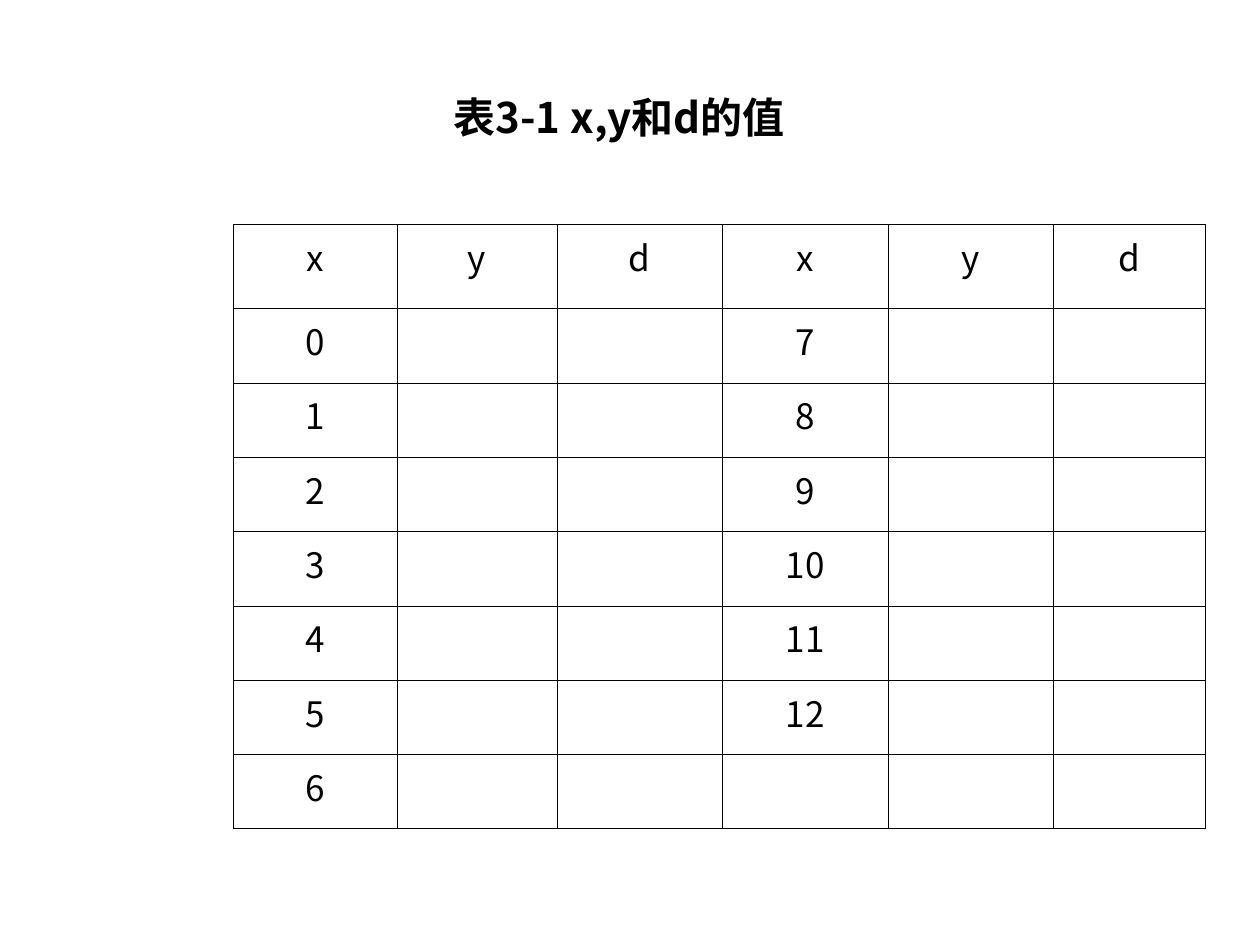
from dataclasses import dataclass

from lxml import etree
from pptx import Presentation
from pptx.dml.color import RGBColor
from pptx.enum.text import MSO_ANCHOR, MSO_AUTO_SIZE, PP_ALIGN
from pptx.oxml.ns import qn
from pptx.util import Pt

LEFT, CENTER = PP_ALIGN.LEFT, PP_ALIGN.CENTER
MIDDLE = MSO_ANCHOR.MIDDLE
FIT_SHAPE = MSO_AUTO_SIZE.SHAPE_TO_FIT_TEXT

BLACK = RGBColor(0x00, 0x00, 0x00)
WHITE = RGBColor(0xFF, 0xFF, 0xFF)
FONT = "Noto Sans CJK SC"
BORDER_WIDTH = Pt(0.45)
TITLE_ONLY = 5

HEADINGS = ["x", "y", "d"] * 2
COLUMN_WIDTHS = [93.6, 91.44, 94.32, 95.04, 94.32, 87.12]
HEADER_HEIGHT = 48.24
ROW_HEIGHT = 42.48
ROWS_PER_HALF = 7
LAST_X = 12


@dataclass
class TextStyle:
    size: float
    bold: bool
    align: PP_ALIGN


TITLE_STYLE = TextStyle(24, True, LEFT)
CELL_STYLE = TextStyle(20, False, CENTER)


def add_text(paragraph, text: str, style: TextStyle) -> None:
    paragraph.alignment = style.align
    run = paragraph.add_run()
    run.text = text
    run.font.size = Pt(style.size)
    run.font.bold = style.bold
    run.font.color.rgb = BLACK
    run.font.name = FONT
    # East Asian characters take their own typeface element
    east_asian = etree.SubElement(run.font._element, qn("a:ea"))
    east_asian.set("typeface", FONT)


def format_cell(cell) -> None:
    properties = cell._tc.get_or_add_tcPr()
    for side in ("lnL", "lnR", "lnT", "lnB"):
        border = etree.SubElement(properties, qn(f"a:{side}"), w=str(BORDER_WIDTH))
        line_fill = etree.SubElement(border, qn("a:solidFill"))
        etree.SubElement(line_fill, qn("a:srgbClr"), val=str(BLACK))
    cell.fill.solid()
    cell.fill.fore_color.rgb = WHITE


def value_rows() -> list[list[str]]:
    """Rows with x filled in on both halves, y and d left open."""
    rows = []
    for x in range(ROWS_PER_HALF):
        right_x = x + ROWS_PER_HALF
        rows.append([str(x), "", "", str(right_x) if right_x <= LAST_X else "", "", ""])
    return rows


def add_title(slide, text: str) -> None:
    title = slide.shapes.title
    title.left, title.top = Pt(252), Pt(48.96)
    title.width, title.height = Pt(283.68), Pt(36)
    frame = title.text_frame
    frame.word_wrap = True
    frame.auto_size = FIT_SHAPE
    frame.vertical_anchor = MIDDLE
    add_text(frame.paragraphs[0], text, TITLE_STYLE)


def add_value_table(slide) -> None:
    rows = [HEADINGS] + value_rows()
    heights = [HEADER_HEIGHT] + [ROW_HEIGHT] * ROWS_PER_HALF
    table = slide.shapes.add_table(
        len(rows), len(HEADINGS), Pt(133.2), Pt(128.16),
        Pt(sum(COLUMN_WIDTHS)), Pt(sum(heights)),
    ).table
    table.first_row = table.horz_banding = False
    for column, width in zip(table.columns, COLUMN_WIDTHS):
        column.width = Pt(width)
    for row, height, values in zip(table.rows, heights, rows):
        row.height = Pt(height)
        for cell, value in zip(row.cells, values):
            format_cell(cell)
            if value:
                add_text(cell.text_frame.paragraphs[0], value, CELL_STYLE)


def main() -> None:
    presentation = Presentation()
    presentation.slide_width, presentation.slide_height = Pt(720), Pt(540)
    slide = presentation.slides.add_slide(presentation.slide_layouts[TITLE_ONLY])

    # Heading above the table
    add_title(slide, "表3-1 x,y和d的值")

    # Values of x in two halves
    add_value_table(slide)

    presentation.save("out.pptx")


if __name__ == "__main__":
    main()
